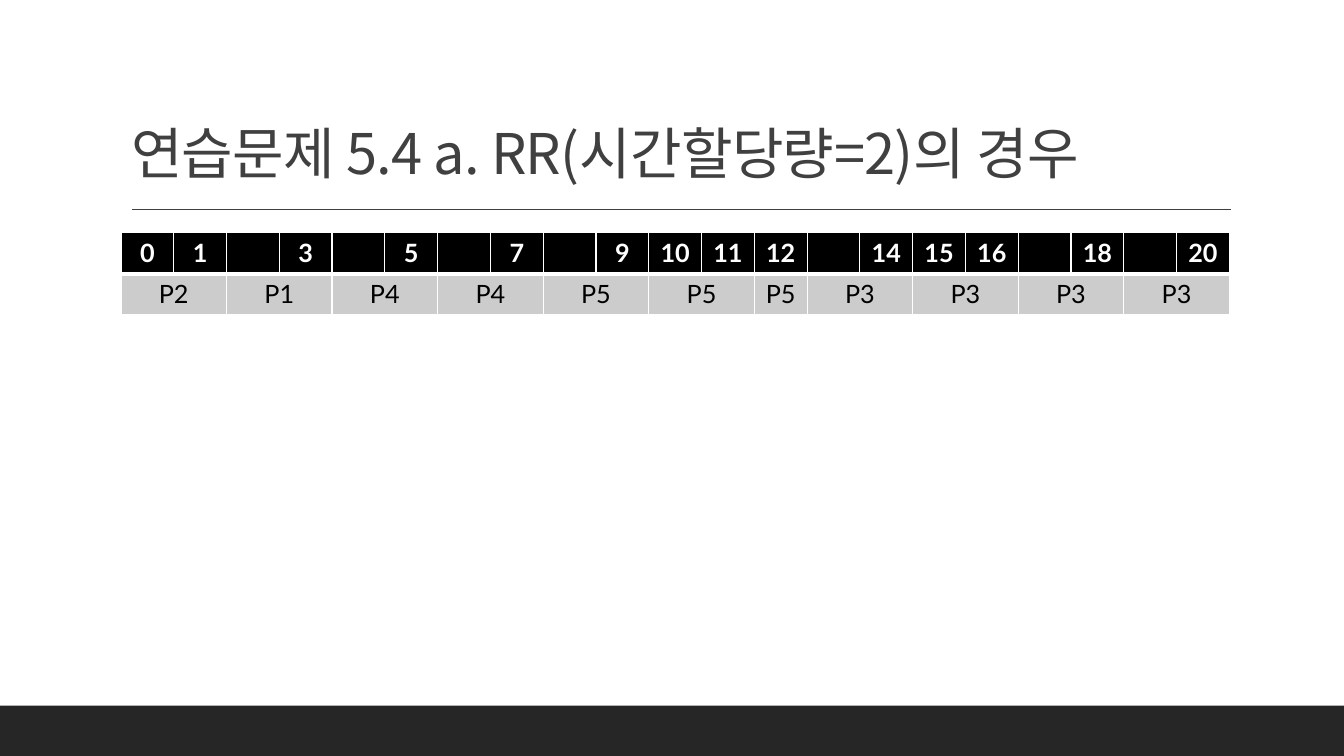
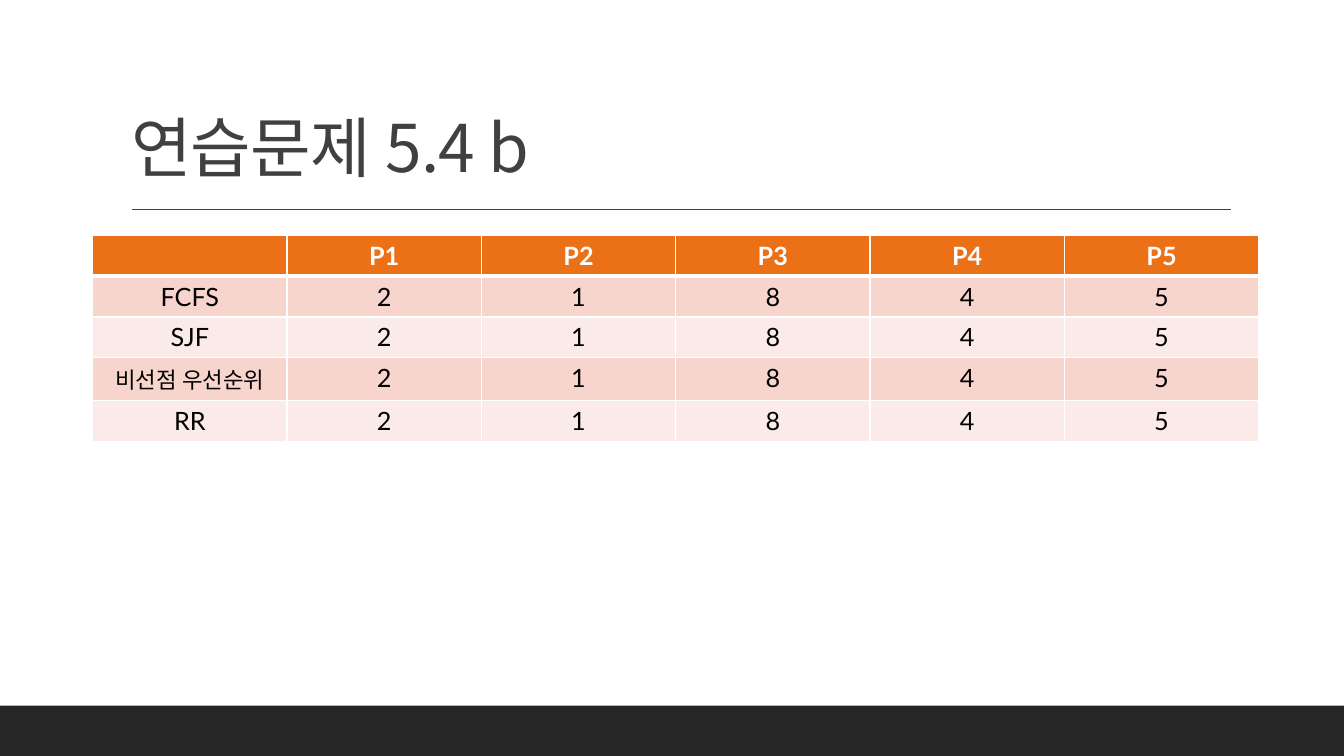
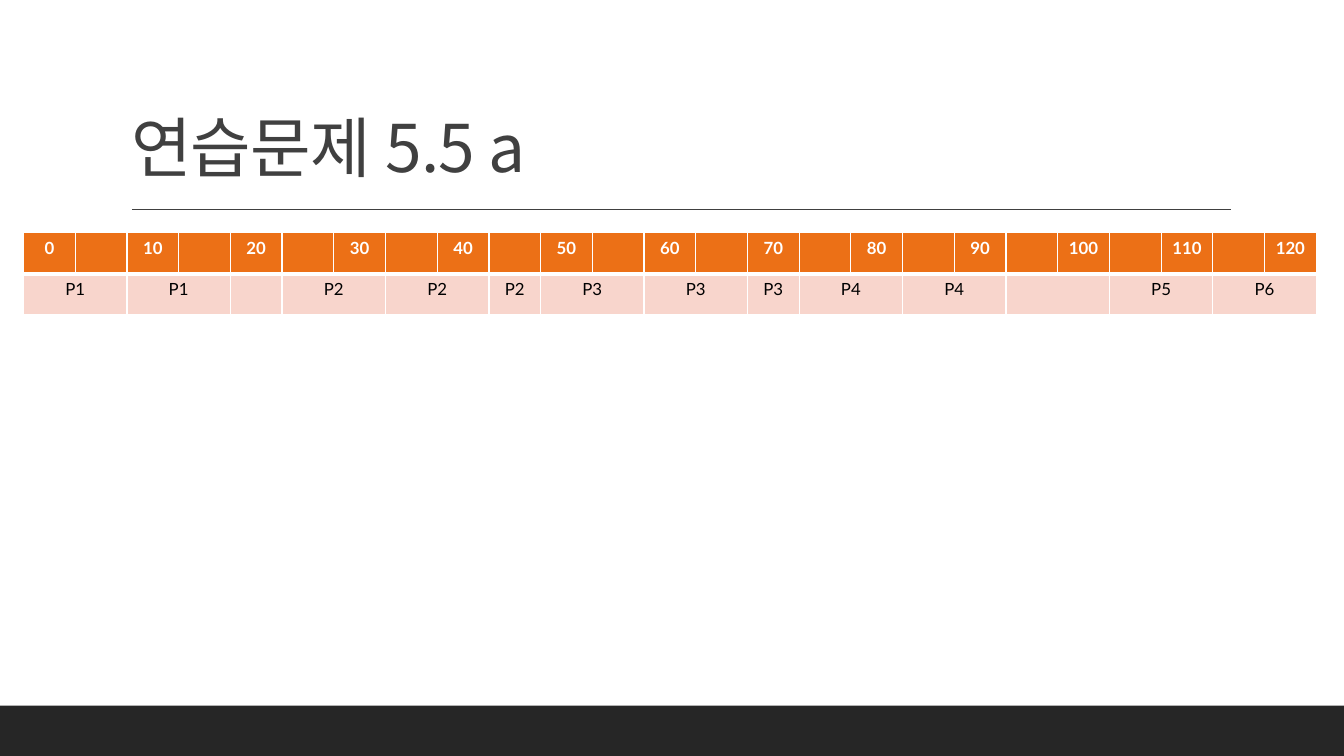
"""Build three CPU scheduling exercise slides with timeline and result tables."""
import pptx
import pptx.dml.color
import pptx.enum.shapes
import pptx.enum.text
import pptx.oxml
import pptx.oxml.ns
import pptx.util

Pt = pptx.util.Pt
qn = pptx.oxml.ns.qn
COLORS = {
    "band": "262626", "title": "404040", "white": "FFFFFF", "black": "000000",
    "gray": "CCCCCC", "orange": "EC7016", "pink": "F8D5CC", "blush": "FBEBE8",
}
LATIN, KOREAN = "Lato", "Noto Sans CJK KR"
ROW_H = 29.2


def rgb(name):
    return pptx.dml.color.RGBColor.from_string(COLORS[name])


def write(p, text, color, **fmt):
    r = p.add_run()
    r.text = text
    for key, value in fmt.items():
        setattr(r.font, key, value)
    r.font.color.rgb = rgb(color)
    rPr = r.font._element
    ea = rPr.makeelement(qn("a:ea"), {"typeface": KOREAN})
    rPr.find(qn("a:latin")).addnext(ea)
    return rPr


results = [("2", 1), ("1", 1), ("8", 1), ("4", 1), ("5", 1)]
slides = [
    {
        "title": "연습문제 5.4 a. RR(시간할당량=2)의 경우", "title_size": 40,
        "left": 86.4, "top": 166.3, "width": 792, "size": 18,
        "head": ["" if t in (2, 4, 6, 8, 13, 17, 19) else str(t) for t in range(21)],
        "rows": [[("P2", 2), ("P1", 2), ("P4", 2), ("P4", 2), ("P5", 2), ("P5", 2),
                  ("P5", 1), ("P3", 2), ("P3", 2), ("P3", 2), ("P3", 2)]],
        "fills": ["black", "gray"],
    },
    {
        "title": "연습문제 5.4 b", "title_size": 47,
        "left": 66.2, "top": 168, "width": 833, "size": 18,
        "head": ["", "P1", "P2", "P3", "P4", "P5"],
        "rows": [[(name, 1)] + results for name in ("FCFS", "SJF", "비선점 우선순위", "RR")],
        "fills": ["orange", "pink", "blush", "pink", "blush"],
    },
    {
        "title": "연습문제 5.5 a", "title_size": 47,
        "left": 16.8, "top": 166.3, "width": 923.6, "size": 12,
        "head": ["" if t % 10 else str(t) for t in range(0, 121, 5)],
        "rows": [[("P1", 2), ("P1", 2), ("", 1), ("P2", 2), ("P2", 2), ("P2", 1),
                  ("P3", 2), ("P3", 2), ("P3", 1), ("P4", 2), ("P4", 2), ("", 2),
                  ("P5", 2), ("P6", 2)]],
        "fills": ["orange", "pink"],
    },
]

prs = pptx.Presentation()
prs.slide_width, prs.slide_height = Pt(960), Pt(540)
layout = prs.slide_layouts[5]
for sp in list(layout.placeholders):
    if sp.placeholder_format.type != pptx.enum.shapes.PP_PLACEHOLDER.TITLE:
        layout.shapes.element.remove(sp.element)
title_box = {"left": Pt(86.4), "top": Pt(22.3), "width": Pt(792), "height": Pt(114.5)}

for number, spec in enumerate(slides):
    s = prs.slides.add_slide(layout)

    if number == 0:
        band = s.shapes.add_shape(
            pptx.enum.shapes.MSO_SHAPE.RECTANGLE, 0, Pt(504), Pt(960), Pt(36))
        band.shadow.inherit = False
        band.fill.solid()
        band.fill.fore_color.rgb = rgb("band")
        band.line.fill.background()
        rule = s.shapes.add_connector(
            pptx.enum.shapes.MSO_CONNECTOR.STRAIGHT, Pt(94.3), Pt(149.8), Pt(879.1), Pt(149.8))
        rule.line.color.rgb = rgb("title")
        rule.line.width = Pt(1)
        spPr = rule.element.spPr
        spPr.append(spPr.makeelement(qn("a:effectLst"), {}))
        for sp in (band, rule):
            layout.shapes.element.append(sp.element)

    title = s.shapes.title
    for key, value in title_box.items():
        setattr(title, key, value)
    tf = title.text_frame
    tf.auto_size = pptx.enum.text.MSO_AUTO_SIZE.NONE
    tf.vertical_anchor = pptx.enum.text.MSO_ANCHOR.BOTTOM
    p = tf.paragraphs[0]
    p.alignment = pptx.enum.text.PP_ALIGN.LEFT
    p.line_spacing = 0.9
    rPr = write(p, spec["title"], "title", size=Pt(spec["title_size"]), name=KOREAN)
    rPr.set("spc", "-50")

    grid = [[(text, 1) for text in spec["head"]]] + spec["rows"]
    count = len(spec["head"])
    table = s.shapes.add_table(
        len(grid), count, Pt(spec["left"]), Pt(spec["top"]),
        Pt(spec["width"]), Pt(ROW_H * len(grid))).table
    for column in table.columns:
        column.width = Pt(spec["width"] / count)

    for i, (entries, fill) in enumerate(zip(grid, spec["fills"])):
        table.rows[i].height = Pt(ROW_H)
        widths = {"lnL": 1, "lnR": 1, "lnT": 3 if i == 1 else 1, "lnB": 3 if i == 0 else 1}
        for cell in table.rows[i].cells:
            cell.fill.solid()
            cell.fill.fore_color.rgb = rgb(fill)
            tcPr = cell._tc.get_or_add_tcPr()
            for k, (side, width) in enumerate(widths.items()):
                tcPr.insert(k, pptx.oxml.parse_xml(
                    f'<a:{side} {pptx.oxml.ns.nsdecls("a")} w="{Pt(width)}"><a:solidFill>'
                    f'<a:srgbClr val="{COLORS["white"]}"/></a:solidFill></a:{side}>'))

        j = 0
        for text, span in entries:
            cell = table.cell(i, j)
            if span > 1:
                cell.merge(table.cell(i, j + span - 1))
            j += span
            if text:
                p = cell.text_frame.paragraphs[0]
                p.alignment = pptx.enum.text.PP_ALIGN.CENTER
                size = 16 if text == "비선점 우선순위" else spec["size"]
                write(p, text, "black" if i else "white", size=Pt(size), name=LATIN, bold=i == 0)

prs.save("out.pptx")
